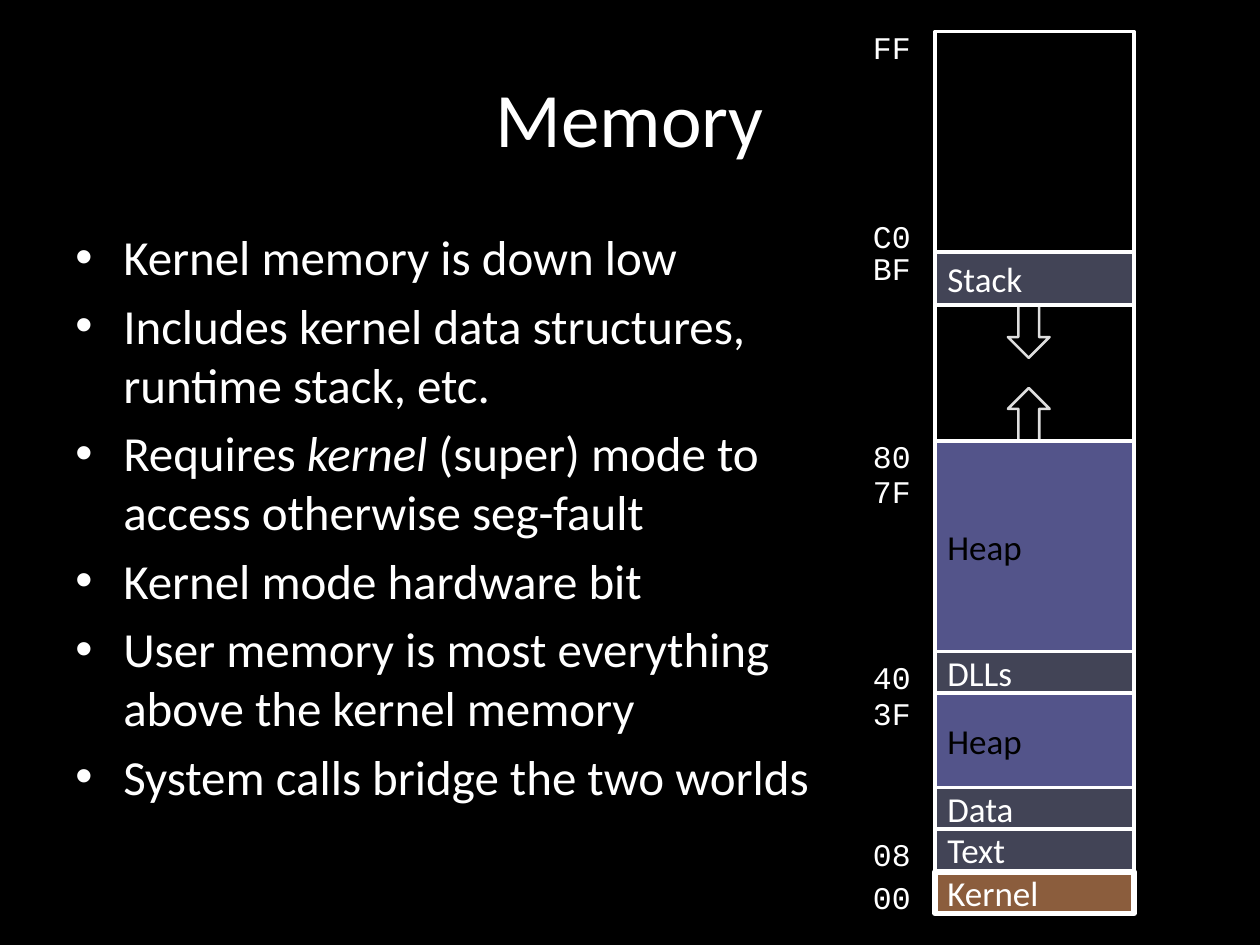
from typing import NamedTuple, Optional

from lxml import etree
from pptx import Presentation
from pptx.dml.color import RGBColor
from pptx.enum.shapes import MSO_SHAPE
from pptx.enum.text import MSO_ANCHOR, MSO_AUTO_SIZE, PP_ALIGN
from pptx.oxml.ns import qn
from pptx.util import Inches, Pt

RECTANGLE = MSO_SHAPE.RECTANGLE
DOWN_ARROW = MSO_SHAPE.DOWN_ARROW
MIDDLE = MSO_ANCHOR.MIDDLE
LEFT, CENTER = PP_ALIGN.LEFT, PP_ALIGN.CENTER
FIT_SHAPE = MSO_AUTO_SIZE.SHAPE_TO_FIT_TEXT

BLACK = RGBColor(0x00, 0x00, 0x00)
WHITE = RGBColor(0xFF, 0xFF, 0xFF)
LIGHT_GRAY = RGBColor(0xDE, 0xDE, 0xDE)
SLATE = RGBColor(0x42, 0x44, 0x56)
PURPLE = RGBColor(0x53, 0x54, 0x8A)
BROWN = RGBColor(0x8B, 0x5D, 0x3D)

BODY_FONT = "Calibri"
ADDRESS_FONT = "Courier New"

MAP_LEFT, MAP_TOP, MAP_WIDTH, MAP_HEIGHT = 7.42, 0.25, 1.58, 7
QUARTER_COUNT = 4
QUARTER_HEIGHT = MAP_HEIGHT / QUARTER_COUNT


class Segment(NamedTuple):
    name: str
    top: float
    height: float
    fill: RGBColor
    text_color: RGBColor = WHITE
    line_width: float = 2


class Address(NamedTuple):
    text: str
    top: float


class Arrow(NamedTuple):
    top: float
    rotation: float


SEGMENTS = [
    Segment("Stack", 2, 0.42, SLATE),
    Segment("DLLs", 5.17, 0.33, SLATE),
    Segment("Text", 6.58, 0.33, SLATE),
    Segment("Data", 6.25, 0.33, SLATE),
    Segment("Heap", 5.5, 0.75, PURPLE, BLACK),
    Segment("Heap", 3.5, 1.67, PURPLE, BLACK),
    Segment("Kernel", 6.92, 0.33, BROWN, line_width=3),
]

ADDRESSES = [
    Address("FF", 0.17),
    Address("C0", 1.67),
    Address("BF", 1.93),
    Address("80", 3.42),
    Address("7F", 3.7),
    Address("40", 5.17),
    Address("3F", 5.46),
    Address("08", 6.58),
    Address("00", 6.92),
]

ARROWS = [Arrow(2.42, 0), Arrow(3.08, 180)]

# Each bullet is a list of (text, italic) runs.
BULLETS = [
    [("Kernel memory is down low", False)],
    [("Includes kernel data structures, runtime stack, etc.", False)],
    [("Requires ", False), ("kernel", True),
     (" (super) mode to access otherwise seg-fault", False)],
    [("Kernel mode hardware bit", False)],
    [("User memory is most everything above the kernel memory", False)],
    [("System calls bridge the two worlds", False)],
]


def format_font(font, name: str, size: float, color: RGBColor) -> None:
    font.name = name
    font.size = Pt(size)
    font.color.rgb = color


def add_outlined_shape(slide, kind, left: float, top: float, width: float, height: float,
                       line_color: RGBColor, line_width: float,
                       fill: Optional[RGBColor] = None):
    shape = slide.shapes.add_shape(
        kind, Inches(left), Inches(top), Inches(width), Inches(height))
    shape.shadow.inherit = False
    if fill is None:
        shape.fill.background()
    else:
        shape.fill.solid()
        shape.fill.fore_color.rgb = fill
    shape.line.color.rgb = line_color
    shape.line.width = Pt(line_width)
    return shape


def add_map_block(slide, top: float, height: float, line_width: float,
                  fill: Optional[RGBColor] = None):
    """Add a rectangle as wide as the memory map."""
    return add_outlined_shape(slide, RECTANGLE, MAP_LEFT, top, MAP_WIDTH, height,
                              WHITE, line_width, fill)


def add_segment(slide, segment: Segment) -> None:
    shape = add_map_block(slide, segment.top, segment.height, segment.line_width, segment.fill)
    text_frame = shape.text_frame
    text_frame.text = segment.name
    text_frame.vertical_anchor = MIDDLE
    paragraph = text_frame.paragraphs[0]
    paragraph.alignment = LEFT
    format_font(paragraph.runs[0].font, BODY_FONT, 20, segment.text_color)


def add_address(slide, address: Address) -> None:
    text_box = slide.shapes.add_textbox(
        Inches(6.83), Inches(address.top), Inches(0.5), Inches(0.4))
    text_frame = text_box.text_frame
    text_frame.word_wrap = False
    text_frame.auto_size = FIT_SHAPE
    text_frame.text = address.text
    format_font(text_frame.paragraphs[0].runs[0].font, ADDRESS_FONT, 18, WHITE)


def add_arrow(slide, arrow: Arrow) -> None:
    shape = add_outlined_shape(slide, DOWN_ARROW, 8, arrow.top, 0.33, 0.42, LIGHT_GRAY, 1.5)
    shape.rotation = arrow.rotation


def set_bullet(paragraph) -> None:
    """Give the paragraph a hanging round bullet."""
    properties = paragraph._p.get_or_add_pPr()
    properties.set("marL", str(Inches(0.38)))
    properties.set("indent", str(Inches(-0.38)))
    etree.SubElement(properties, qn("a:buFont")).set("typeface", "Arial")
    etree.SubElement(properties, qn("a:buChar")).set("char", "•")


def add_bullets(slide) -> None:
    text_box = slide.shapes.add_textbox(Inches(0.5), Inches(1.75), Inches(6.08), Inches(4.95))
    text_frame = text_box.text_frame
    text_frame.word_wrap = True
    for index, bullet in enumerate(BULLETS):
        paragraph = text_frame.add_paragraph() if index else text_frame.paragraphs[0]
        set_bullet(paragraph)
        if index:
            paragraph.space_before = Pt(5.6)
        for text, italic in bullet:
            run = paragraph.add_run()
            run.text = text
            format_font(run.font, BODY_FONT, 28, WHITE)
            run.font.italic = italic


def format_title(slide) -> None:
    title = slide.shapes.title
    title.left, title.top = Inches(0.5), Inches(0.3)
    title.width, title.height = Inches(9), Inches(1.25)
    text_frame = title.text_frame
    text_frame.text = "Memory"
    text_frame.vertical_anchor = MIDDLE
    paragraph = text_frame.paragraphs[0]
    paragraph.alignment = CENTER
    format_font(paragraph.runs[0].font, BODY_FONT, 44, WHITE)


def main() -> None:
    presentation = Presentation()
    presentation.slide_width = Inches(10)
    presentation.slide_height = Inches(7.5)
    slide = presentation.slides.add_slide(presentation.slide_layouts.get_by_name("Title Only"))
    slide.background.fill.solid()
    slide.background.fill.fore_color.rgb = BLACK

    format_title(slide)
    add_bullets(slide)
    for quarter in range(QUARTER_COUNT):
        add_map_block(slide, MAP_TOP + quarter * QUARTER_HEIGHT, QUARTER_HEIGHT, 0.75, BLACK)
    add_map_block(slide, MAP_TOP, MAP_HEIGHT, 2)
    for address in ADDRESSES:
        add_address(slide, address)
    for arrow in ARROWS:
        add_arrow(slide, arrow)
    for segment in SEGMENTS:
        add_segment(slide, segment)

    presentation.save("out.pptx")


if __name__ == "__main__":
    main()
